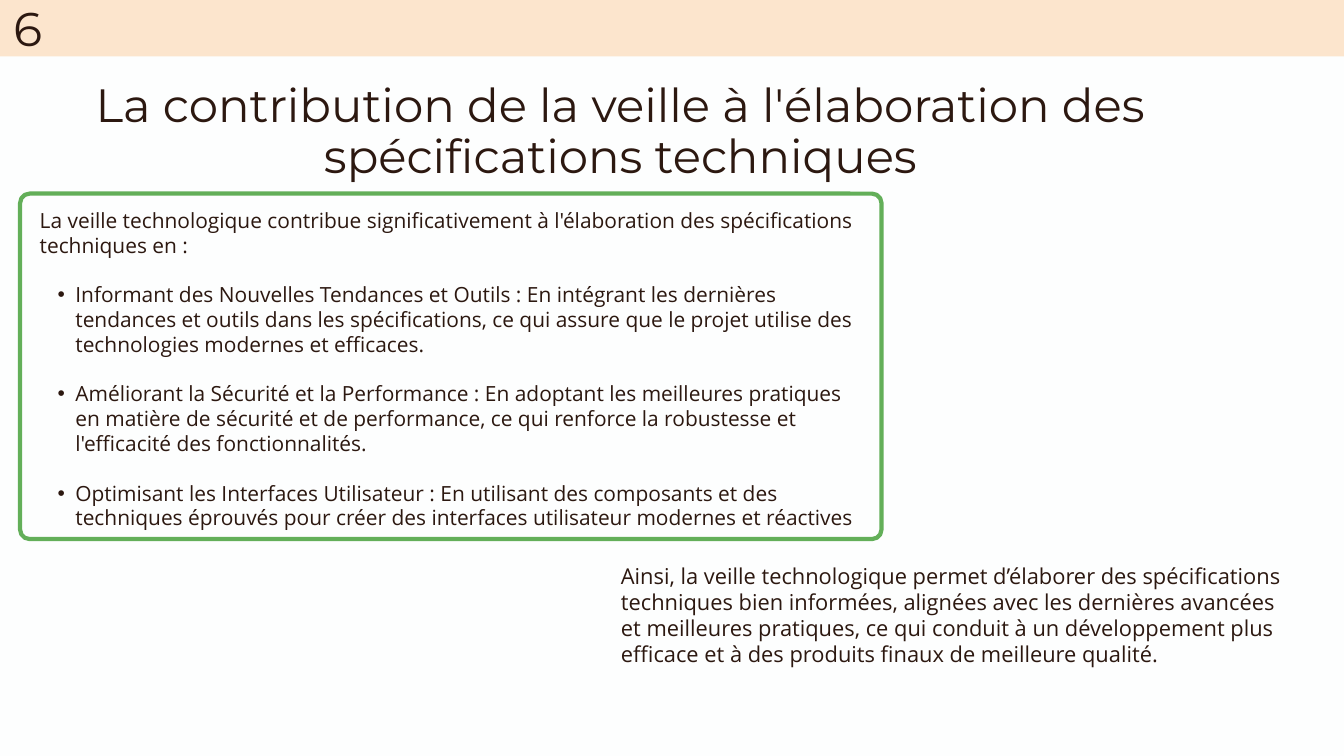
from dataclasses import dataclass

from pptx import Presentation
from pptx.dml.color import RGBColor
from pptx.enum.shapes import MSO_SHAPE as Preset
from pptx.enum.text import MSO_ANCHOR as Anchor, MSO_AUTO_SIZE as AutoSize, PP_ALIGN as Align
from pptx.oxml.ns import qn
from pptx.shapes.autoshape import Shape
from pptx.slide import Slide
from pptx.text.text import _Paragraph as Paragraph
from pptx.util import Cm, Pt
from lxml.etree import SubElement


@dataclass(frozen=True)
class Box:
    """Position and size in centimetres."""
    left: float
    top: float
    width: float
    height: float

    def lengths(self) -> tuple[Cm, Cm, Cm, Cm]:
        return Cm(self.left), Cm(self.top), Cm(self.width), Cm(self.height)


@dataclass(frozen=True)
class TextStyle:
    font: str
    size: float
    line_spacing: float
    align: Align = Align.LEFT


@dataclass(frozen=True)
class Theme:
    background: RGBColor = RGBColor(0xFD, 0xFE, 0xFE)
    band: RGBColor = RGBColor(0xFC, 0xE5, 0xCD)
    frame: RGBColor = RGBColor(0x63, 0xAF, 0x59)
    ink: RGBColor = RGBColor(0x2C, 0x18, 0x10)
    title: TextStyle = TextStyle("Montserrat", 50, 55, Align.CENTER)
    number: TextStyle = TextStyle("Montserrat", 50.6, 55.7, Align.CENTER)
    body: TextStyle = TextStyle("Open Sans", 22.4, 26.6)
    conclusion: TextStyle = TextStyle("Open Sans", 23.4, 27.8)


THEME = Theme()

TITLE = "La contribution de la veille à l'élaboration des spécifications techniques"
INTRODUCTION = (
    "La veille technologique contribue significativement à l'élaboration "
    "des spécifications techniques en :"
)
CONTRIBUTIONS = [
    "Informant des Nouvelles Tendances et Outils : En intégrant les dernières "
    "tendances et outils dans les spécifications, ce qui assure que le projet "
    "utilise des technologies modernes et efficaces.",
    "Améliorant la Sécurité et la Performance : En adoptant les meilleures "
    "pratiques en matière de sécurité et de performance, ce qui renforce la "
    "robustesse et l'efficacité des fonctionnalités.",
    "Optimisant les Interfaces Utilisateur : En utilisant des composants et des "
    "techniques éprouvés pour créer des interfaces utilisateur modernes et réactives",
]
CONCLUSION = (
    "Ainsi, la veille technologique permet d’élaborer des spécifications techniques "
    "bien informées, alignées avec les dernières avancées et meilleures pratiques, "
    "ce qui conduit à un développement plus efficace et à des produits finaux de "
    "meilleure qualité."
)


def add_bullet(paragraph: Paragraph) -> None:
    paragraph.level = 1
    properties = paragraph._p.get_or_add_pPr()
    properties.set("marL", str(Cm(1.35)))
    properties.set("indent", str(Cm(-0.67)))
    SubElement(properties, qn("a:buFont"), typeface="Arial")
    SubElement(properties, qn("a:buChar"), char="•")


def format_paragraph(paragraph: Paragraph, style: TextStyle) -> None:
    paragraph.alignment = style.align
    paragraph.line_spacing = Pt(style.line_spacing)
    paragraph.font.name = style.font
    paragraph.font.size = Pt(style.size)
    paragraph.font.color.rgb = THEME.ink


def fill_text(shape: Shape, text: str, style: TextStyle, bullets: list[str] | None = None) -> None:
    """Write a lead paragraph, then bullets set one line apart."""
    frame = shape.text_frame
    frame.word_wrap = True
    frame.auto_size = AutoSize.NONE
    frame.vertical_anchor = Anchor.TOP
    frame.margin_left = frame.margin_top = frame.margin_right = frame.margin_bottom = 0
    frame.text = text
    format_paragraph(frame.paragraphs[0], style)
    for bullet in bullets or []:
        paragraph = frame.add_paragraph()
        paragraph.text = bullet
        add_bullet(paragraph)
        paragraph.space_before = Pt(style.line_spacing)
        format_paragraph(paragraph, style)


def add_text(slide: Slide, box: Box, text: str, style: TextStyle,
             bullets: list[str] | None = None) -> None:
    fill_text(slide.shapes.add_textbox(*box.lengths()), text, style, bullets)


def add_band(slide: Slide, box: Box) -> None:
    band = slide.shapes.add_shape(Preset.RECTANGLE, *box.lengths())
    band.shadow.inherit = False
    band.fill.solid()
    band.fill.fore_color.rgb = THEME.band
    band.line.fill.background()


def add_frame(slide: Slide, box: Box, radius: float) -> None:
    frame = slide.shapes.add_shape(Preset.ROUNDED_RECTANGLE, *box.lengths())
    frame.adjustments[0] = radius / min(box.width, box.height)
    frame.shadow.inherit = False
    frame.fill.background()
    frame.line.color.rgb = THEME.frame
    frame.line.width = Pt(4.5)


def place_title(slide: Slide, box: Box) -> None:
    title = slide.shapes.title
    title.left, title.top, title.width, title.height = box.lengths()
    fill_text(title, TITLE, THEME.title)


def main() -> None:
    presentation = Presentation()
    presentation.slide_width, presentation.slide_height = Cm(50.8), Cm(28.58)
    slide = presentation.slides.add_slide(presentation.slide_layouts[5])
    slide.background.fill.solid()
    slide.background.fill.fore_color.rgb = THEME.background

    add_band(slide, Box(0, 0, 50.8, 2.13))
    add_text(slide, Box(1.5, 7.85, 31.42, 12.04), INTRODUCTION, THEME.body, CONTRIBUTIONS)
    add_frame(slide, Box(0.76, 7.32, 32.56, 13.06), radius=0.36)
    place_title(slide, Box(0.61, 3.05, 45.69, 3.91))
    add_text(slide, Box(23.47, 21.29, 25.07, 3.84), CONCLUSION, THEME.conclusion)
    add_text(slide, Box(0, 0.15, 2.11, 1.96), "6", THEME.number)

    presentation.save("out.pptx")


if __name__ == "__main__":
    main()
